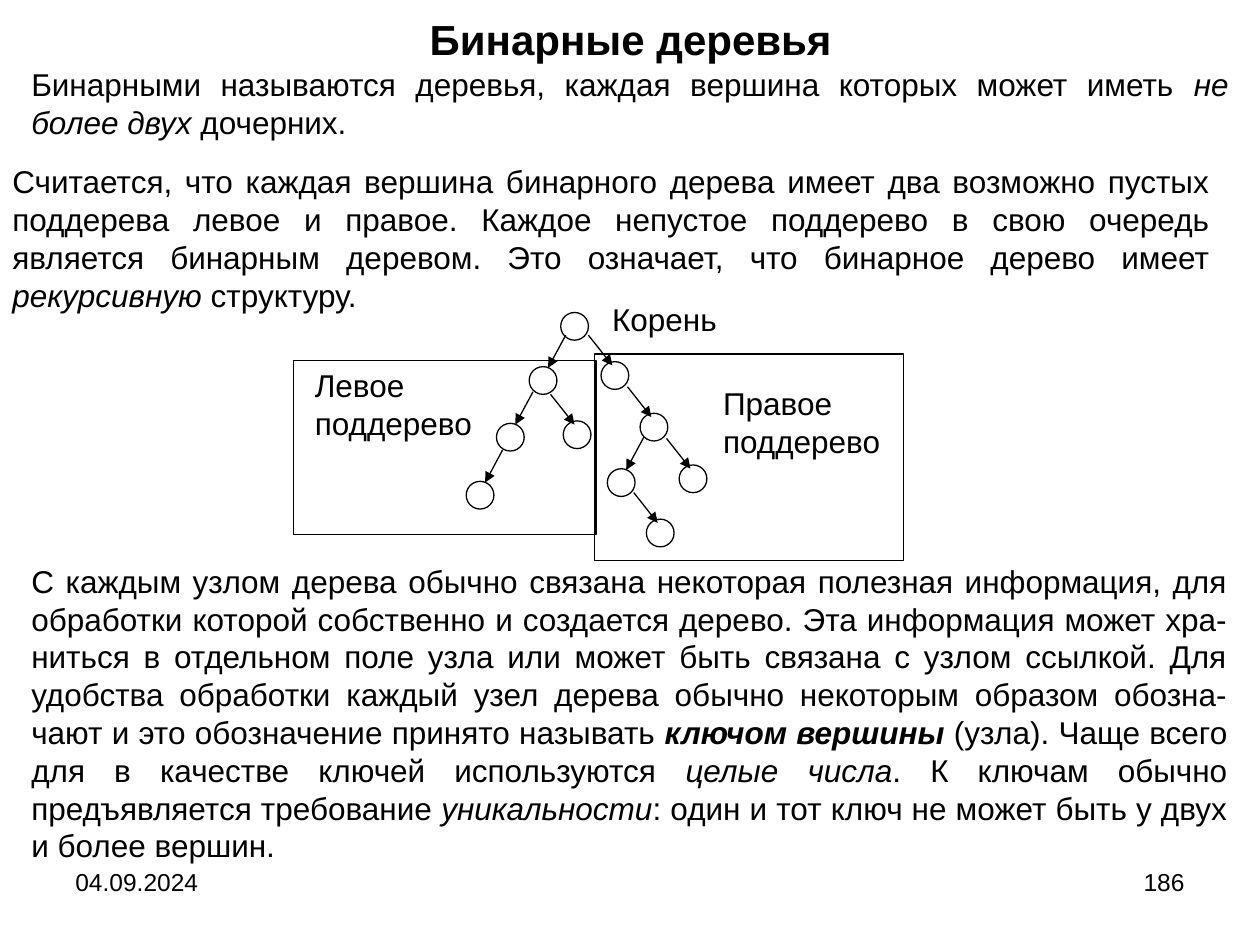
"""Build a slide that explains binary trees."""
from lxml import etree
from pptx import Presentation
from pptx.dml.color import RGBColor
from pptx.enum.shapes import MSO_CONNECTOR, MSO_SHAPE
from pptx.enum.text import PP_ALIGN
from pptx.oxml.ns import qn
from pptx.util import Inches, Pt

BLACK = RGBColor(0, 0, 0)
OVAL, RECT = MSO_SHAPE.OVAL, MSO_SHAPE.RECTANGLE
LINE = MSO_CONNECTOR.STRAIGHT
LEFT, MID, RIGHT, FULL = PP_ALIGN.LEFT, PP_ALIGN.CENTER, PP_ALIGN.RIGHT, PP_ALIGN.JUSTIFY

COLS, ROWS = 1000, 750
CELL = Inches(10) // COLS
NODE = 22

BASE = {"name": "Arial", "size": Pt(18), "bold": False, "italic": False}
HEAD = {"size": Pt(24), "bold": True}
FOOT = {"size": Pt(14)}
ITAL = {"italic": True}
KEY = {"bold": True, "italic": True}

TEXTS = [
    ((50, 683, 233, 52), LEFT, [("04.09.2024", FOOT)]),
    ((717, 683, 233, 52), RIGHT, [("186", FOOT)]),
    ((310, 6, 381, 50), MID, [("Бинарные деревья", HEAD)]),
    ((15, 47, 970, 70), FULL, [
        ("Бинарными называются деревья, каждая вершина которых может иметь ", {}),
        ("не более двух", ITAL),
        (" дочерних.", {})]),
    ((0, 124, 970, 130), FULL, [
        ("Считается, что каждая вершина бинарного дерева имеет два возможно "
         "пустых поддерева левое и правое. Каждое непустое поддерево в свою "
         "очередь является бинарным деревом. Это означает, что бинарное "
         "дерево имеет ", {}),
        ("рекурсивную", ITAL),
        (" структуру.", {})]),
    ((476, 233, 181, 40), LEFT, [("Корень", {})]),
    ((240, 286, 155, 70), LEFT, [("Левое поддерево", {})]),
    ((564, 300, 148, 70), LEFT, [("Правое поддерево", {})]),
    ((15, 441, 969, 250), FULL, [
        ("С каждым узлом дерева обычно связана некоторая полезная информация, "
         "для обработки которой собственно и создается дерево. Эта информация "
         "может хра-ниться в отдельном поле узла или может быть связана с "
         "узлом ссылкой. Для удобства обработки каждый узел дерева обычно "
         "некоторым образом обозна-чают и это обозначение принято называть ", {}),
        ("ключом вершины", KEY),
        (" (узла). Чаще всего для в качестве ключей используются ", {}),
        ("целые числа", ITAL),
        (". К ключам обычно предъявляется требование ", {}),
        ("уникальности", ITAL),
        (": один и тот ключ не может быть у двух и более вершин.", {})]),
]

FRAMES = [(233, 286, 240, 138), (472, 281, 245, 164)]
ROOT = (445, 248)
LESS = [(420, 291), (394, 336), (370, 382), (482, 372)]
MORE = [(477, 287), (447, 334), (508, 328), (539, 369), (513, 412)]
TIPS = [(LESS, (15, 1), (-14, 26)), (MORE, (9, 3), (19, 24))]


def scale(*cells):
    """Turn grid cells into slide lengths."""
    return [cell * CELL for cell in cells]


def style(font, form):
    """Set a font from the base format and its changes."""
    for key, value in {**BASE, **form}.items():
        setattr(font, key, value)
    font.color.rgb = BLACK


def ink(shape):
    """Give a shape or connector a thin black line."""
    shape.line.color.rgb = BLACK
    shape.line.width = Pt(0.75)


def add_text(slide, box, align, runs):
    """Add a wrapped text box made of styled runs."""
    frame = slide.shapes.add_textbox(*scale(*box)).text_frame
    frame.word_wrap = True
    para = frame.paragraphs[0]
    para.alignment = align
    for words, form in runs:
        run = para.add_run()
        run.text = words
        style(run.font, form)


def add_shape(slide, kind, box):
    """Add an unfilled outline shape."""
    shape = slide.shapes.add_shape(kind, *scale(*box))
    shape.shadow.inherit = False
    shape.fill.background()
    ink(shape)


def add_arrow(slide, tip, step):
    """Add an arrow that covers the step and ends at the tip."""
    (x, y), (dx, dy) = tip, step
    arrow = slide.shapes.add_connector(LINE, *scale(x - dx, y - dy, x, y))
    ink(arrow)
    etree.SubElement(arrow.line._get_or_add_ln(), qn("a:tailEnd"), type="triangle")
    etree.SubElement(arrow._element.spPr, qn("a:effectLst"))


def add_tree(slide):
    """Add the nodes, with an arrow into each child, and the subtree frames."""
    for x, y in [ROOT, *LESS, *MORE]:
        add_shape(slide, OVAL, (x, y, NODE, NODE))
    for nodes, (dx, dy), step in TIPS:
        for x, y in nodes:
            add_arrow(slide, (x + dx, y + dy), step)
    for box in FRAMES:
        add_shape(slide, RECT, box)


def main():
    """Build and save the slide."""
    deck = Presentation()
    deck.slide_width, deck.slide_height = scale(COLS, ROWS)
    slide = deck.slides.add_slide(deck.slide_layouts[6])
    add_tree(slide)
    for box, align, runs in TEXTS:
        add_text(slide, box, align, runs)
    deck.save("out.pptx")


if __name__ == "__main__":
    main()
